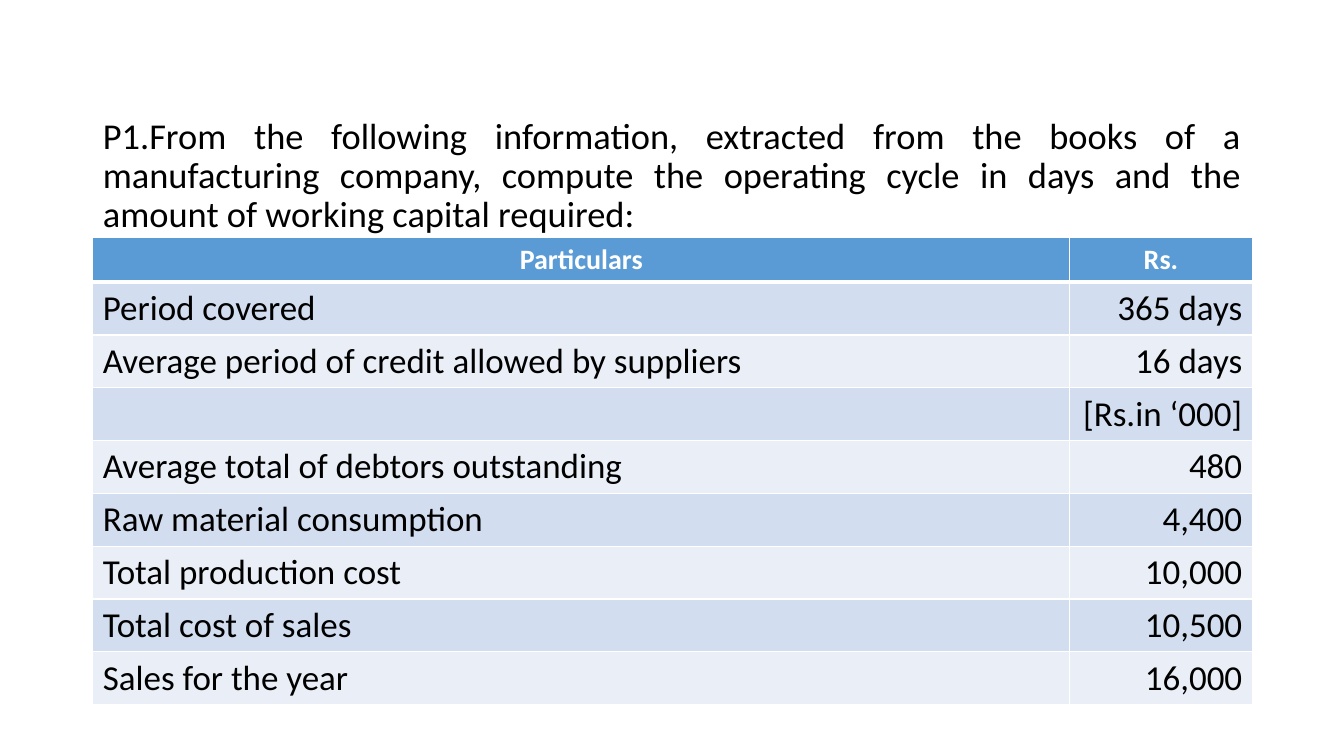
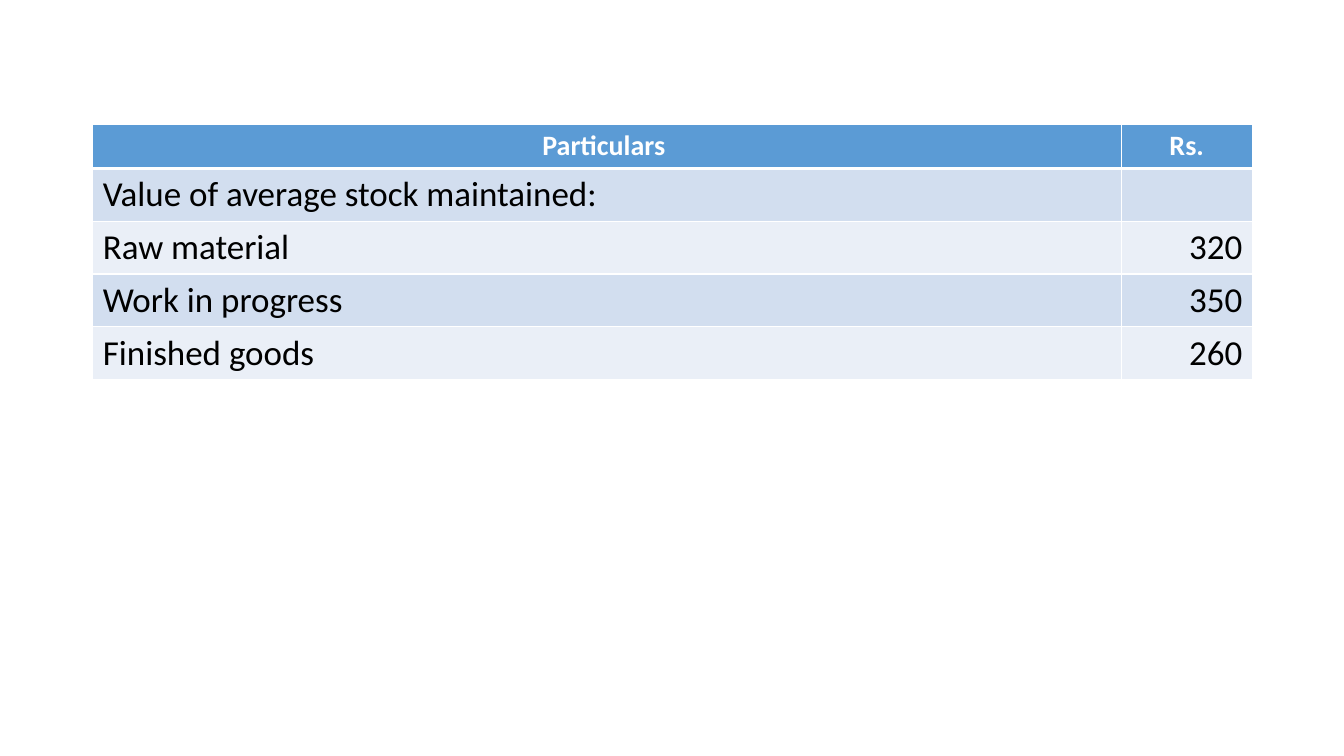
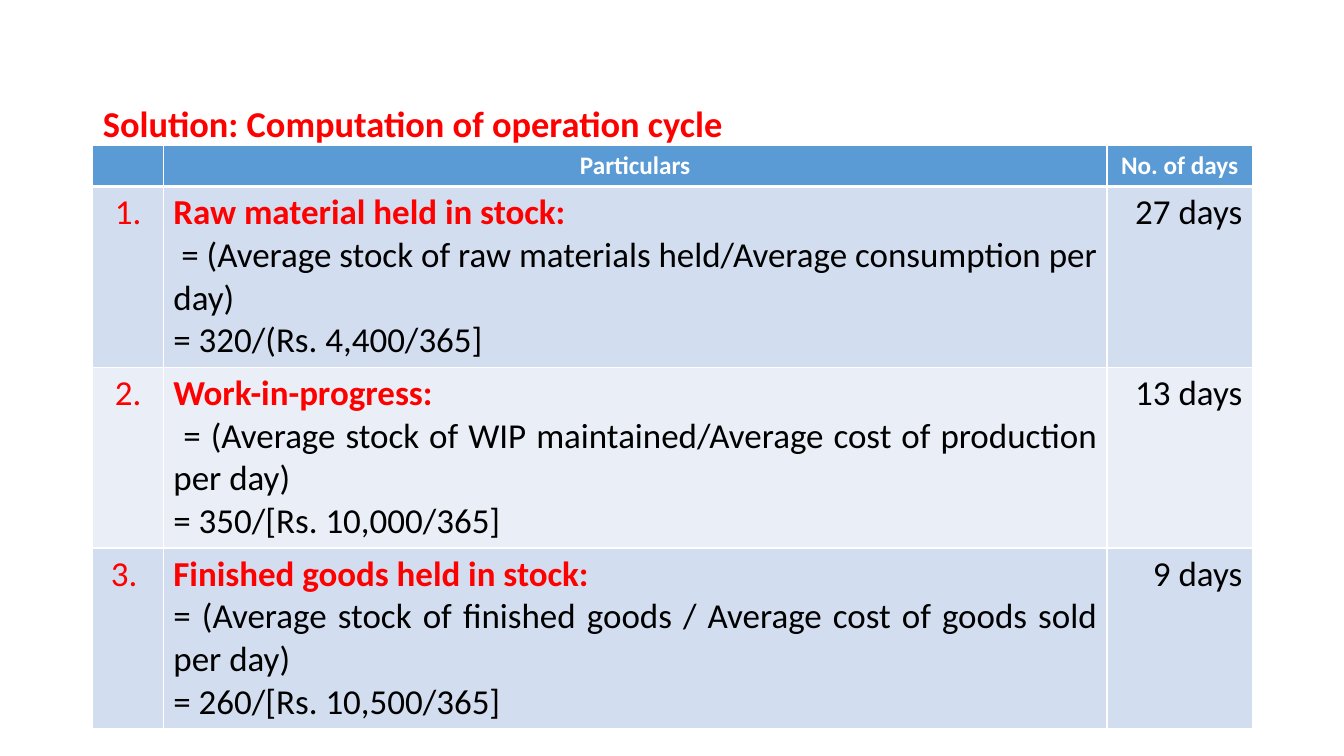
from dataclasses import dataclass

from lxml import etree
from pptx import Presentation
from pptx.dml.color import RGBColor
from pptx.enum.text import MSO_ANCHOR, MSO_AUTO_SIZE, PP_ALIGN
from pptx.oxml.ns import qn
from pptx.util import Inches, Pt

LEFT, CENTER = PP_ALIGN.LEFT, PP_ALIGN.CENTER
RIGHT, JUSTIFY = PP_ALIGN.RIGHT, PP_ALIGN.JUSTIFY
TOP = MSO_ANCHOR.TOP
NO_AUTOFIT = MSO_AUTO_SIZE.NONE
TITLE_ONLY, BLANK = 5, 6


@dataclass(frozen=True)
class Theme:
    font: str = "Calibri"
    ink: str = "000000"
    accent: str = "FF0000"
    white: str = "FFFFFF"
    header: str = "5B9BD5"
    bands: tuple = ("D2DEEF", "EAEFF7")
    title_size: int = 26
    cell_size: int = 25
    thin: int = 1
    thick: int = 3


THEME = Theme()
SLIDE_WIDTH, SLIDE_HEIGHT = 13.33, 7.5
MARGIN = 0.92
CONTENT_WIDTH = 11.5
HEADER_HEIGHT = 0.41
LINE_ROW_HEIGHT = 0.52
STEP_ROW_HEIGHT = 1.79

QUESTION = (
    "P1.From the following information, extracted from the books of a manufacturing "
    "company, compute the operating cycle in days and the amount of working capital required:"
)
BOOK_FIGURES = [
    ("Period covered", "365 days"),
    ("Average period of credit allowed by suppliers", "16 days"),
    ("", "[Rs.in ‘000]"),
    ("Average total of debtors outstanding", "480"),
    ("Raw material consumption", "4,400"),
    ("Total production cost", "10,000"),
    ("Total cost of sales", "10,500"),
    ("Sales for the year", "16,000"),
]
STOCK_FIGURES = [
    ("Value of average stock maintained:", ""),
    ("Raw material", "320"),
    ("Work in progress", "350"),
    ("Finished goods", "260"),
]
CYCLE_STEPS = [
    ("1.", "Raw material held in stock:\n"
     " = (Average stock of raw materials held/Average consumption per day)\n"
     "= 320/(Rs. 4,400/365]", "27 days"),
    ("2.", "Work-in-progress:\n"
     " = (Average stock of WIP maintained/Average cost of production per day)\n"
     "= 350/[Rs. 10,000/365]", "13 days"),
    ("3. ", "Finished goods held in stock:\n"
     "= (Average stock of finished goods / Average cost of goods sold per day)\n"
     "= 260/[Rs. 10,500/365]", "9 days"),
]


def format_para(para, align, size, color, bold=False):
    para.alignment = align
    for span in para.runs:
        span.font.name = THEME.font
        span.font.size = Pt(size)
        span.font.bold = bold
        span.font.color.rgb = RGBColor.from_string(color)


def add_heading(page, text, top, bottom, align, color, bold=False):
    title = page.shapes.title
    title.left, title.top = Inches(MARGIN), Inches(top)
    title.width, title.height = Inches(CONTENT_WIDTH), Inches(bottom - top)
    frame = title.text_frame
    frame.text = text
    frame.word_wrap = True
    frame.auto_size = NO_AUTOFIT
    frame.vertical_anchor = TOP
    para = frame.paragraphs[0]
    para.line_spacing = 0.9
    format_para(para, align, THEME.title_size, color, bold)


def set_borders(cell, top, bottom):
    """Draw white rules around a cell; top and bottom are widths in points."""
    properties = cell._tc.get_or_add_tcPr()
    widths = {"lnL": THEME.thin, "lnR": THEME.thin, "lnT": top, "lnB": bottom}
    for side, width in widths.items():
        line = etree.SubElement(properties, qn(f"a:{side}"), w=str(Pt(width)))
        fill = etree.SubElement(line, qn("a:solidFill"))
        etree.SubElement(fill, qn("a:srgbClr"), val=THEME.white)


def style_cell(cell, row):
    """Give a cell its rules and the fill of the header or of its band."""
    set_borders(
        cell,
        top=THEME.thick if row == 1 else THEME.thin,
        bottom=THEME.thick if row == 0 else THEME.thin,
    )
    cell.fill.solid()
    color = THEME.header if row == 0 else THEME.bands[(row - 1) % 2]
    cell.fill.fore_color.rgb = RGBColor.from_string(color)


def add_table(page, top, widths, header, rows, aligns, header_size, row_height):
    """Add a banded table and return it; the last column takes the width left over."""
    widths = [*widths, CONTENT_WIDTH - sum(widths)]
    frame = page.shapes.add_table(
        len(rows) + 1, len(widths), Inches(MARGIN), Inches(top),
        Inches(CONTENT_WIDTH), Inches(HEADER_HEIGHT + row_height * len(rows)),
    )
    table = frame.table
    table.horz_banding = False
    for column, width in zip(table.columns, widths):
        column.width = Inches(width)
    for row, texts in enumerate([header, *rows]):
        table.rows[row].height = Inches(row_height if row else HEADER_HEIGHT)
        for column, text in enumerate(texts):
            cell = table.cell(row, column)
            style_cell(cell, row)
            cell.text_frame.text = text
            for para in cell.text_frame.paragraphs:
                if row == 0:
                    format_para(para, CENTER, header_size, THEME.white, bold=True)
                else:
                    format_para(para, aligns[column], THEME.cell_size, THEME.ink)
    return table


def add_figures_table(page, top, label_width, header, rows):
    add_table(page, top, [label_width], header, rows, [LEFT, RIGHT], 20, LINE_ROW_HEIGHT)


def add_steps_table(page, top, rows):
    """Add the numbered computation, with red numbers and red step names."""
    table = add_table(
        page, top, [0.7, 9.36], ("", "Particulars", "No. of days"), rows,
        [CENTER, JUSTIFY, RIGHT], 18, STEP_ROW_HEIGHT,
    )
    for row in range(1, len(rows) + 1):
        number = table.cell(row, 0).text_frame.paragraphs[0]
        name = table.cell(row, 1).text_frame.paragraphs[0]
        format_para(number, CENTER, THEME.cell_size, THEME.accent)
        format_para(name, JUSTIFY, THEME.cell_size, THEME.accent, bold=True)


def main():
    deck = Presentation()
    deck.slide_width, deck.slide_height = Inches(SLIDE_WIDTH), Inches(SLIDE_HEIGHT)
    question, stock, solution = (
        deck.slides.add_slide(deck.slide_layouts[layout])
        for layout in (TITLE_ONLY, BLANK, TITLE_ONLY)
    )

    add_heading(question, QUESTION, 1.12, 2.36, JUSTIFY, THEME.ink)
    add_figures_table(question, 2.36, 9.69, ("Particulars", "Rs."), BOOK_FIGURES)

    add_figures_table(stock, 1.23, 10.2, ("Particulars ", "Rs."), STOCK_FIGURES)

    add_heading(solution, "Solution: Computation of operation cycle",
                1, 1.44, LEFT, THEME.accent, bold=True)
    add_steps_table(solution, 1.44, CYCLE_STEPS)

    deck.save("out.pptx")


if __name__ == "__main__":
    main()
